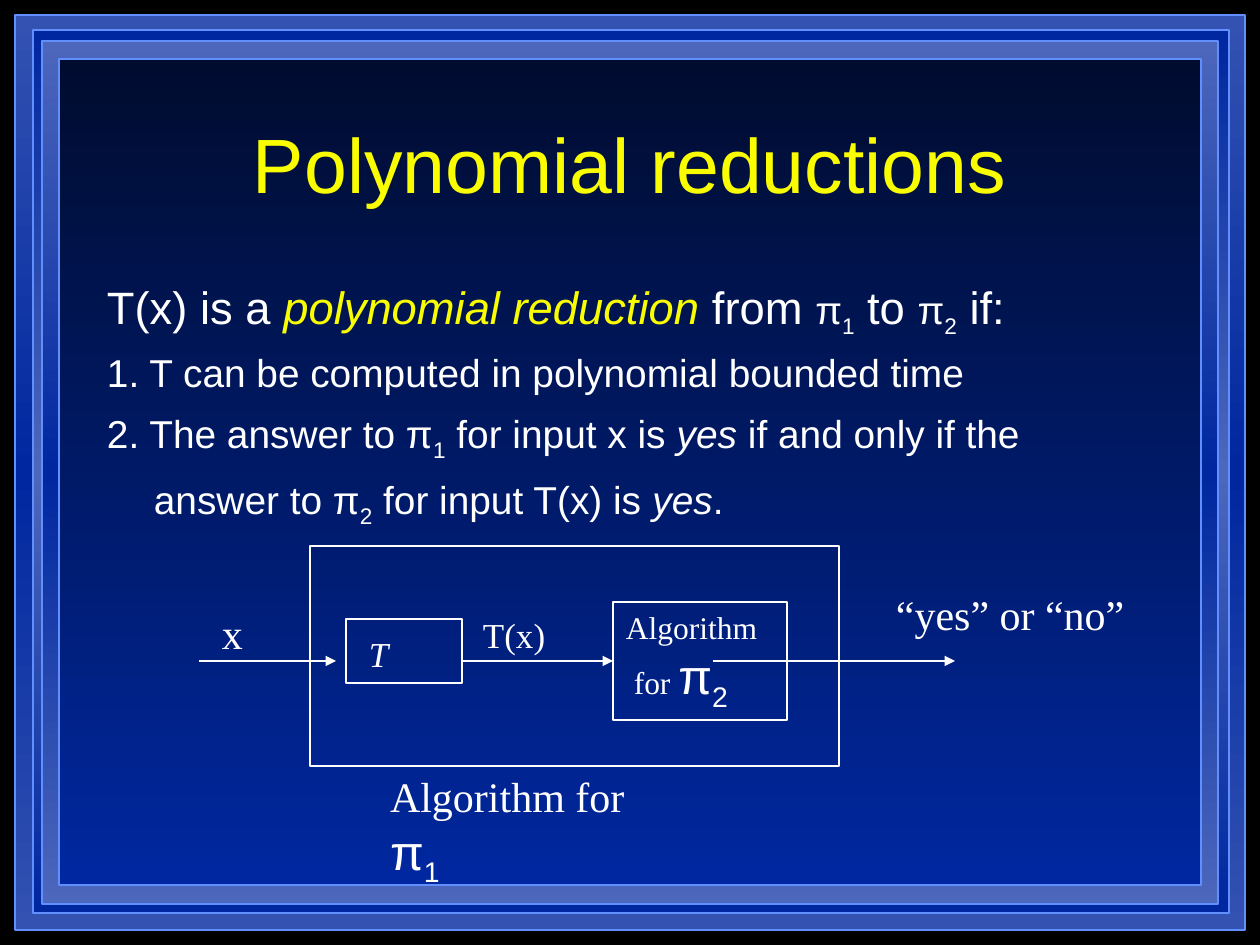
from copy import deepcopy
from lxml.etree import SubElement
from pptx import Presentation
from pptx.dml.color import RGBColor
from pptx.enum.shapes import MSO_CONNECTOR, MSO_SHAPE
from pptx.enum.text import MSO_ANCHOR, MSO_AUTO_SIZE, PP_ALIGN
from pptx.oxml.ns import qn
from pptx.util import Emu, Pt

PX = 914400 // 126
THEME = {
    "sans": "Arial", "serif": "Times New Roman",
    "white": RGBColor.from_string("FFFFFF"), "yellow": RGBColor.from_string("FAFD00"),
    "black": RGBColor.from_string("000000"), "edge": RGBColor.from_string("618FFD"),
    "title": 44, "lead": 25.9, "item": 22.2, "end": 29.6,
    "label": 24, "small": 20, "algorithm": 18, "pi": 28,
}
LEAD, ITEM, PI = THEME["lead"], THEME["item"], THEME["pi"]
SANS, SERIF = THEME["sans"], THEME["serif"]


def px(*lengths):
    return [Emu(n * PX) for n in lengths]


def write(sp, paragraphs, margins=(13, 6, 13, 6)):
    """Fill a shape with paragraphs of (text, size, font, style) runs.

    Style letters: i italic, y yellow, s subscript.
    """
    tf = sp.text_frame
    tf.word_wrap = True
    tf.auto_size = MSO_AUTO_SIZE.NONE
    tf.vertical_anchor = MSO_ANCHOR.TOP
    tf.margin_left, tf.margin_top, tf.margin_right, tf.margin_bottom = px(*margins)
    for i, runs in enumerate(paragraphs):
        p = tf.paragraphs[0] if i == 0 else tf.add_paragraph()
        p.alignment = PP_ALIGN.LEFT
        for text, size, font, style in runs:
            if text == "\v":
                p.add_line_break()
                continue
            r = p.add_run()
            r.text = text
            r.font.name, r.font.size = font, Pt(size)
            r.font.color.rgb = THEME["yellow" if "y" in style else "white"]
            r.font.italic = "i" in style
            if "s" in style:
                r.font._element.set("baseline", "-25000")
    return tf


prs = Presentation()
prs.slide_width, prs.slide_height = px(1260, 945)
slide = prs.slides.add_slide(prs.slide_layouts[5])
shapes = slide.shapes
slide.background.fill.solid()
slide.background.fill.fore_color.rgb = THEME["black"]

# Nested frames; a third stop mirrors the first
frames = [
    ((15, 15, 1230, 915), "3352B2", "00279F", True),
    ((33, 30, 1196, 883), "00279F", "4C67BC", True),
    ((42, 41, 1176, 863), "4C67BC", "00279F", True),
    ((59, 59, 1142, 826), "000C2F", "00279F", False),
]
for place, first, second, mirrored in frames:
    sp = shapes.add_shape(MSO_SHAPE.RECTANGLE, *px(*place))
    sp.shadow.inherit = False
    sp.line.color.rgb = THEME["edge"]
    sp.line.width = Pt(1)
    sp.fill.gradient()
    sp.fill.gradient_angle = 270
    stops = sp.fill.gradient_stops
    for stop, color, position in zip(stops, (first, second), (0, 0.5 if mirrored else 1)):
        stop.color.rgb = RGBColor.from_string(color)
        stop.position = position
    if mirrored:
        stop_list = sp._element.spPr.find(".//" + qn("a:gsLst"))
        last = deepcopy(stop_list[0])
        last.set("pos", "100000")
        stop_list.append(last)

title = shapes.title
shapes._spTree.append(title._element)  # in front of the frames
title.left, title.top, title.width, title.height = px(94, 84, 1072, 158)
tf = write(title, [[("Polynomial reductions", THEME["title"], SANS, "y")]])
tf.vertical_anchor = MSO_ANCHOR.MIDDLE
tf.paragraphs[0].alignment = PP_ALIGN.CENTER

body = shapes.add_textbox(*px(94, 273, 1072, 273))
tf = write(body, [
    [("T(x) is a ", LEAD, SANS, ""), ("polynomial reduction", LEAD, SANS, "iy"),
     (" from ", LEAD, SANS, ""), ("π", ITEM, SANS, ""), ("1", ITEM, SANS, "s"),
     (" to ", LEAD, SANS, ""), ("π", ITEM, SANS, ""), ("2", ITEM, SANS, "s"),
     (" if:", LEAD, SANS, "")],
    [("1. T can be computed in polynomial bounded time", ITEM, SANS, "")],
    [("2. The answer to π", ITEM, SANS, ""), ("1", ITEM, SANS, "s"),
     (" for input x is ", ITEM, SANS, ""), ("yes", ITEM, SANS, "i"),
     (" if and only if the answer to π", ITEM, SANS, ""), ("2", ITEM, SANS, "s"),
     (" for input T(x) is ", ITEM, SANS, ""), ("yes", ITEM, SANS, "i"),
     (".", ITEM, SANS, ""), (" ", THEME["end"], SANS, "")],
])
for p, space in zip(tf.paragraphs, (0, 6, 8)):
    p.space_before = Pt(space)
    pPr = p._p.get_or_add_pPr()
    pPr.set("marL", str(47 * PX))
    pPr.set("indent", str(-47 * PX))

# Diagram boxes
boxes = {}
for name, place in [("T", (346, 619, 116, 64)), ("algorithm 2", (613, 602, 174, 118)),
                    ("algorithm 1", (310, 546, 529, 220))]:
    sp = boxes[name] = shapes.add_shape(MSO_SHAPE.RECTANGLE, *px(*place))
    sp.shadow.inherit = False
    sp.fill.background()
    sp.line.color.rgb = THEME["white"]
    sp.line.width = Pt(0.75)
write(boxes["T"], [[("T", THEME["small"], SERIF, "i")]], (23, 14, 13, 6))
write(boxes["algorithm 2"], [[
    ("Algorithm", THEME["algorithm"], SERIF, ""), ("\v", 0, "", ""),
    (" for ", THEME["algorithm"], SERIF, ""), ("π", PI, SANS, ""), ("2", PI, SANS, "s")]])

# Labels
labels = [
    ((209, 602, 46, 63), [("x", THEME["label"], SERIF, "")]),
    ((470, 607, 110, 55), [("T(x)", THEME["small"], SERIF, "")]),
    ((883, 583, 290, 63), [("“yes” or “no”", THEME["label"], SERIF, "")]),
    ((377, 765, 311, 120), [("Algorithm for ", THEME["label"], SERIF, ""),
                            ("π", PI, SANS, ""), ("1", PI, SANS, "s")]),
]
for place, runs in labels:
    write(shapes.add_textbox(*px(*place)), [runs])

# Arrows along one level, the middle of the second algorithm's box
FLOW_Y = 661
for start, end, target in [(199, 336, None), (462, 613, "algorithm 2"), (713, 955, None)]:
    arrow = shapes.add_connector(MSO_CONNECTOR.STRAIGHT, *px(start, FLOW_Y, end, FLOW_Y))
    if target:
        arrow.end_connect(boxes[target], 1)
    arrow.line.color.rgb = THEME["white"]
    arrow.line.width = Pt(0.75)
    SubElement(arrow.line._get_or_add_ln(), qn("a:tailEnd"), type="triangle")
    SubElement(arrow._element.spPr, qn("a:effectLst"))

prs.save("out.pptx")
